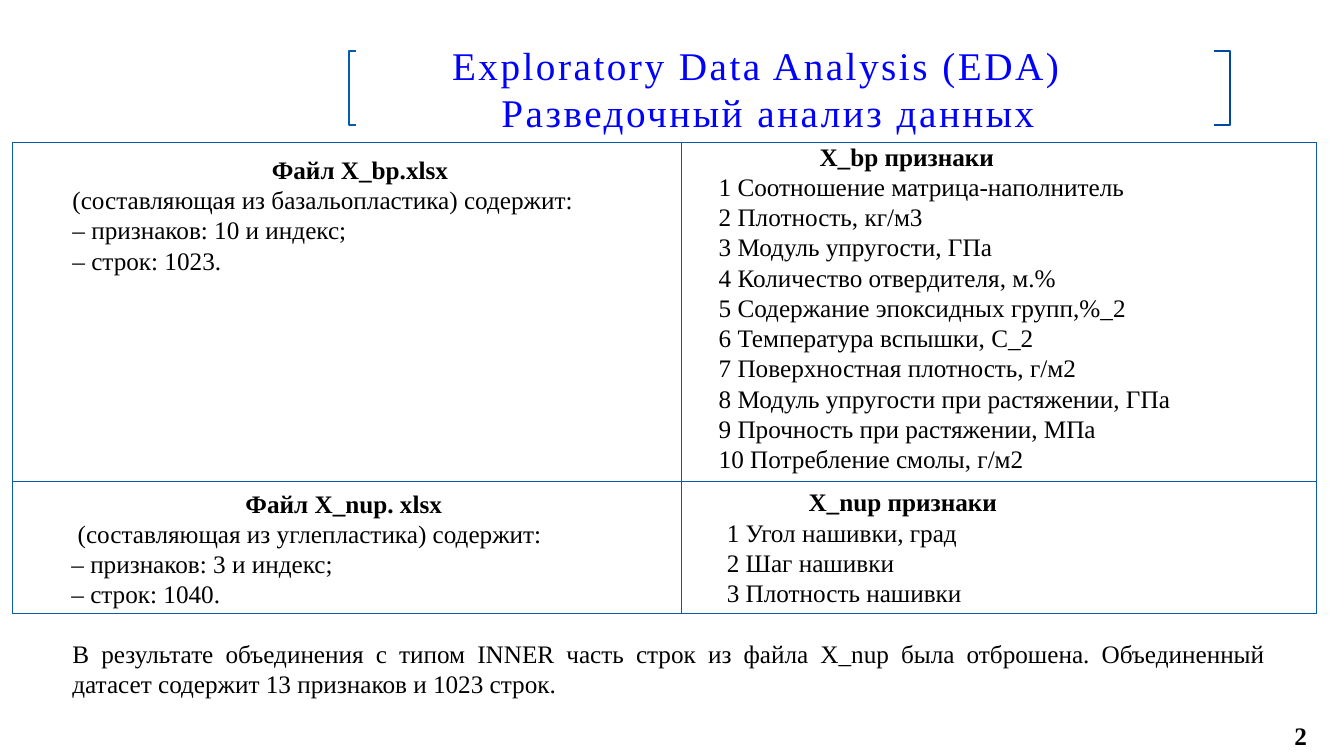
from pptx import Presentation
from pptx.dml.color import RGBColor
from pptx.enum.shapes import MSO_CONNECTOR, MSO_SHAPE
from pptx.enum.text import MSO_ANCHOR, PP_ALIGN
from pptx.oxml.ns import qn
from pptx.util import Inches, Pt
from lxml.etree import SubElement

FONT = "Times New Roman"
BLACK = RGBColor(0x00, 0x00, 0x00)
WHITE = RGBColor(0xFF, 0xFF, 0xFF)
TITLE_BLUE = RGBColor(0x00, 0x00, 0xFF)
LEFT_BRACKET_BLUE = RGBColor(0x06, 0x5C, 0xAB)
RIGHT_BRACKET_BLUE = RGBColor(0x00, 0x46, 0xA2)
GRID_BLUE = RGBColor(0x0A, 0x5B, 0xAB)

TITLE = ["Exploratory Data Analysis (EDA) ", " Разведочный анализ данных"]
BP_FILE = [
    "(составляющая из базальопластика) содержит:",
    "– признаков: 10 и индекс;",
    "– строк: 1023.",
]
BP_FEATURES = [
    "1 Соотношение матрица-наполнитель",
    "2 Плотность, кг/м3",
    "3 Модуль упругости, ГПа",
    "4 Количество отвердителя, м.%",
    "5 Содержание эпоксидных групп,%_2",
    "6 Температура вспышки, С_2",
    "7 Поверхностная плотность, г/м2",
    "8 Модуль упругости при растяжении, ГПа",
    "9 Прочность при растяжении, МПа",
    "10 Потребление смолы, г/м2",
]
NUP_FILE = [
    " (составляющая из углепластика) содержит:",
    "– признаков: 3 и индекс;",
    "– строк: 1040.",
]
NUP_FEATURES = ["1 Угол нашивки, град", "2 Шаг нашивки", "3 Плотность нашивки"]
CONCLUSION = (
    "В результате объединения с типом INNER часть строк из файла X_nup была "
    "отброшена. Объединенный датасет содержит 13 признаков и 1023 строк."
)


def write_paragraph(frame, text, size=18, color=BLACK, bold=False,
                    align=PP_ALIGN.LEFT, indent=0, spacing=0):
    """Write one formatted paragraph, filling the empty first one if there is one."""
    paragraph = frame.paragraphs[0]
    if paragraph.runs:
        paragraph = frame.add_paragraph()
    paragraph.alignment = align
    if indent:
        paragraph._p.get_or_add_pPr().set("indent", str(Inches(indent)))
    run = paragraph.add_run()
    run.text = text
    run.font.name = FONT
    run.font.size = Pt(size)
    run.font.bold = bold
    run.font.color.rgb = color
    if spacing:
        run.font._element.set("spc", str(round(spacing * 100)))


def add_frame(slide, box, anchor=MSO_ANCHOR.TOP):
    """Add a wrapping text box and return its text frame."""
    frame = slide.shapes.add_textbox(*map(Inches, box)).text_frame
    frame.word_wrap = True
    frame.vertical_anchor = anchor
    return frame


def add_bracket(slide, open_x, edge_x, top, bottom, color):
    """Draw a square bracket with its spine at edge_x."""
    builder = slide.shapes.build_freeform(Inches(open_x), Inches(top))
    corners = [(edge_x, top), (edge_x, bottom), (open_x, bottom)]
    builder.add_line_segments([(Inches(x), Inches(y)) for x, y in corners], close=False)
    bracket = builder.convert_to_shape()
    bracket.shadow.inherit = False
    bracket.fill.background()
    bracket.line.color.rgb = color
    bracket.line.width = Pt(1.3)


def add_title(slide, left, top, width, height):
    """Place the two-line title between its brackets."""
    shape = slide.shapes.add_shape(
        MSO_SHAPE.RECTANGLE, *map(Inches, (left, top, width, height)))
    shape.shadow.inherit = False
    shape.fill.solid()
    shape.fill.fore_color.rgb = WHITE
    shape.line.color.rgb = WHITE
    shape.line.width = Pt(2)
    frame = shape.text_frame
    frame.word_wrap = True
    frame.vertical_anchor = MSO_ANCHOR.MIDDLE
    for text in TITLE:
        write_paragraph(frame, text, size=28, color=TITLE_BLUE,
                        align=PP_ALIGN.CENTER, spacing=1.8)
    bottom = top + height
    add_bracket(slide, left + 0.07, left, top, bottom, LEFT_BRACKET_BLUE)
    right = left + width + 0.54
    add_bracket(slide, right - 0.16, right, top, bottom, RIGHT_BRACKET_BLUE)


def add_cell(slide, box, heading, lines, align=PP_ALIGN.CENTER, indent=0):
    """Place a bold heading with its lines below."""
    frame = add_frame(slide, box)
    write_paragraph(frame, heading, bold=True, align=align, indent=indent)
    for line in lines:
        write_paragraph(frame, line)


def add_rule(slide, x1, y1, x2, y2):
    """Draw one thin grid line."""
    rule = slide.shapes.add_connector(
        MSO_CONNECTOR.STRAIGHT, *map(Inches, (x1, y1, x2, y2)))
    rule.line.color.rgb = GRID_BLUE
    rule.line.width = Pt(0.75)
    SubElement(rule._element.spPr, qn("a:effectLst"))


def add_grid(slide, columns, rows):
    """Rule the grid at the given column and row positions."""
    for y in rows:
        add_rule(slide, columns[0], y, columns[-1], y)
    for x in columns:
        add_rule(slide, x, rows[0], x, rows[-1])


def add_comparison(slide, left, top, width, height):
    """Place the two files and their features in a ruled grid."""
    middle, split = left + 6.64, top + 3.37
    add_cell(slide, (middle + 0.27, top - 0.06, 5.16, 3.43),
             "X_bp признаки", BP_FEATURES, align=PP_ALIGN.LEFT, indent=1)
    add_cell(slide, (left + 0.5, top + 0.07, 5.41, 1.31),
             "Файл X_bp.xlsx", BP_FILE, indent=0.49)
    add_cell(slide, (left + 0.49, split + 0.01, 5.6, 1.31), "Файл X_nup. xlsx", NUP_FILE)
    add_cell(slide, (middle + 0.35, split, 3.75, 1.31), "X_nup признаки ", NUP_FEATURES)
    add_grid(slide, (left, middle, left + width), (top, split, top + height))


def add_footer(slide, left, top, width, height):
    """Place the conclusion and the page number under it."""
    write_paragraph(add_frame(slide, (left, top, width, height)),
                    CONCLUSION, align=PP_ALIGN.JUSTIFY)
    number_box = (left + width - 0.21, top + 0.87, 0.62, 0.3)
    write_paragraph(add_frame(slide, number_box, MSO_ANCHOR.MIDDLE),
                    "2", bold=True, align=PP_ALIGN.RIGHT)


def main():
    """Build and save the slide."""
    presentation = Presentation()
    presentation.slide_width = Inches(13.33)
    presentation.slide_height = Inches(7.5)
    slide = presentation.slides.add_slide(presentation.slide_layouts[6])
    add_title(slide, 3.46, 0.51, 8.2, 0.73)
    add_comparison(slide, 0.12, 1.41, 12.94, 4.68)
    add_footer(slide, 0.62, 6.28, 12.03, 0.71)
    presentation.save("out.pptx")


if __name__ == "__main__":
    main()
